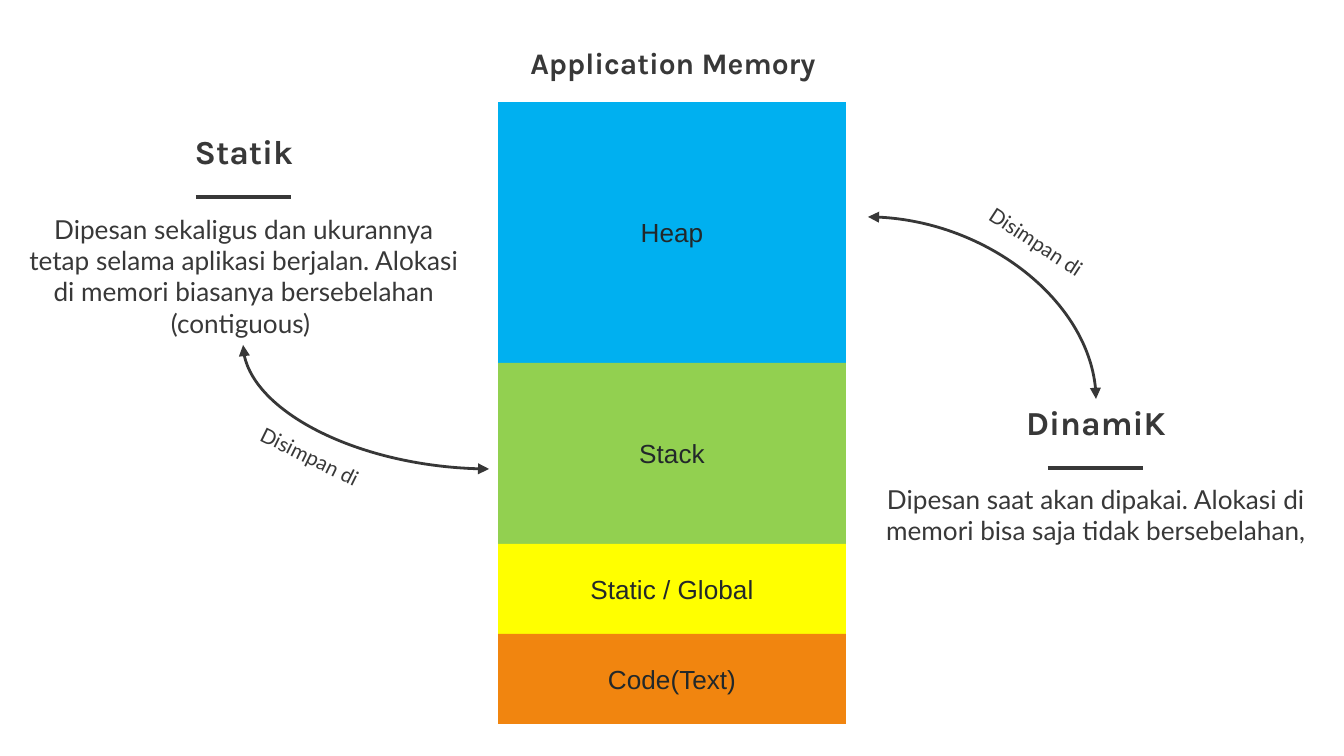
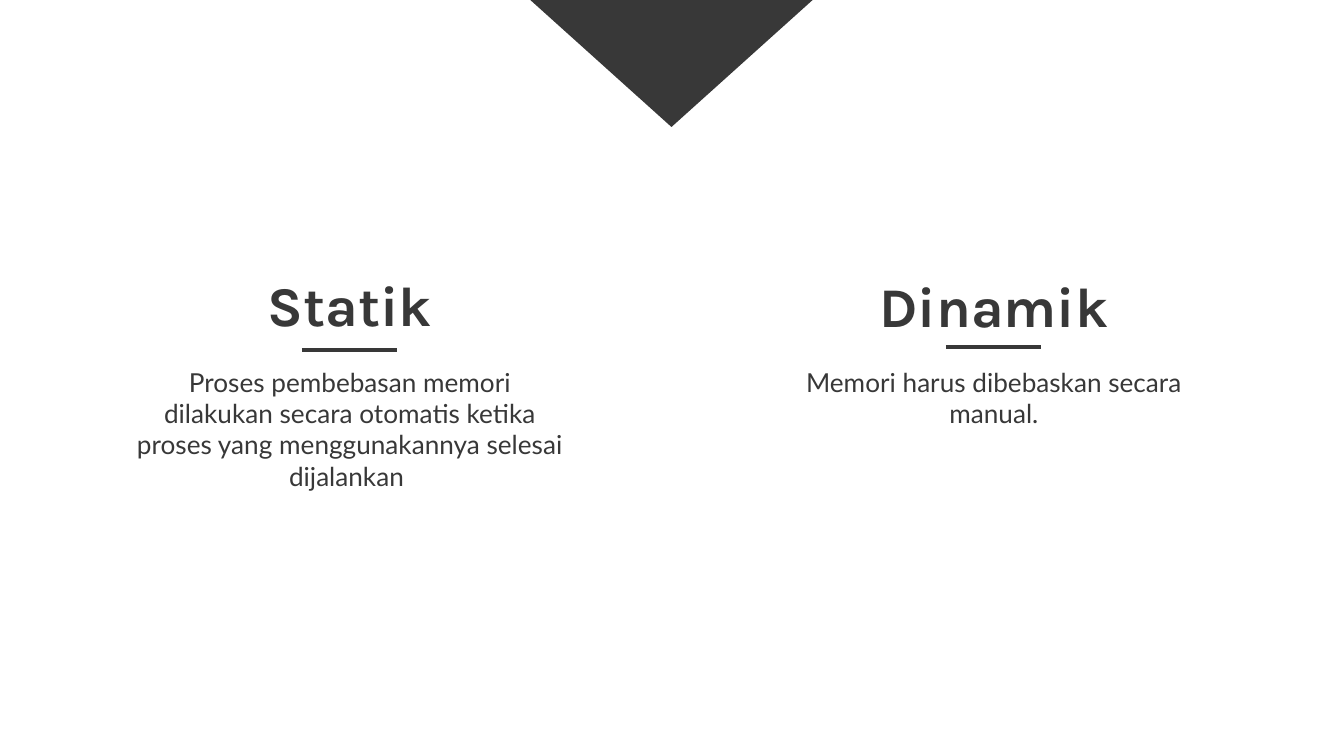
from pptx import Presentation
from pptx.dml.color import RGBColor
from pptx.enum.shapes import MSO_CONNECTOR as Link, MSO_SHAPE as Form
from pptx.enum.text import MSO_ANCHOR as Anchor, PP_ALIGN as Align
from pptx.oxml.ns import qn
from pptx.util import Emu, Pt
from lxml.etree import SubElement as sub

INK = "383838"
hue = RGBColor.from_string
HEAD = {"name": "Karla", "bold": True}
BODY = {"name": "Lato", "size": Pt(14)}
NOTE = {"name": "Lato", "size": Pt(11)}
CELL = {"name": "Arial", "size": Pt(14)}


def px(*nums):
    return [Emu(round(n * 914400 / 134.4)) for n in nums]


def write(shape, words, form, ink=INK, anchor=Anchor.TOP):
    frame = shape.text_frame
    pad = px(13)[0]
    look = {"word_wrap": True, "vertical_anchor": anchor, "margin_left": pad,
            "margin_right": pad, "margin_top": pad, "margin_bottom": pad}
    for key, val in look.items():
        setattr(frame, key, val)
    para = frame.paragraphs[0]
    para.alignment = Align.CENTER
    run = para.add_run()
    run.text = words
    for key, val in form.items():
        setattr(run.font, key, val)
    run.font.color.rgb = hue(ink)


deck = Presentation()
deck.slide_width, deck.slide_height = px(1344, 756)
store, free = [deck.slides.add_slide(deck.slide_layouts[6]) for _ in range(2)]

peak = free.shapes.add_shape(Form.ISOSCELES_TRIANGLE, *px(527, -3, 289, 130))
peak.rotation = 180
peak.shadow.inherit = False
peak.fill.solid()
peak.fill.fore_color.rgb = hue(INK)
peak.line.fill.background()

top = 102
for name, tall, tint in [
    ("Heap", 261, "00B0F0"),
    ("Stack", 181, "92D050"),
    ("Static / Global", 90, "FFFF00"),
    ("Code(Text)", 90, "F1850F"),
]:
    cell = store.shapes.add_shape(Form.RECTANGLE, *px(498, top, 348, tall))
    cell.shadow.inherit = False
    cell.fill.solid()
    cell.fill.fore_color.rgb = hue(tint)
    cell.line.fill.background()
    write(cell, name, CELL, "22282A", Anchor.MIDDLE)
    top += tall

label = store.shapes.add_textbox(*px(249, 32, 848, 78))
write(label, "Application Memory", {**HEAD, "size": Pt(16)})

lines = []
for slide, mid, name, size, wide, head, rule, body, words in [
    (store, 244, "Statik", 18, 243, 128, 197, 200,
     "Dipesan sekaligus dan ukurannya tetap selama aplikasi berjalan. "
     "Alokasi di memori biasanya bersebelahan (contiguous) "),
    (store, 1096, "DinamiK", 18, 243, 399, 468, 470,
     "Dipesan saat akan dipakai. Alokasi di memori bisa saja tidak bersebelahan,"),
    (free, 350, "Statik", 30, 243, 281, 350, 353,
     "Proses pembebasan memori dilakukan secara otomatis ketika "
     "proses yang menggunakannya selesai dijalankan "),
    (free, 994, "Dinamik", 30, 262, 282, 347, 353,
     "Memori harus dibebaskan secara manual."),
]:
    text = slide.shapes.add_textbox(*px(mid - 228, body, 456, 145))
    write(text, words, BODY)
    title = slide.shapes.add_textbox(*px(mid - wide / 2, head, wide, 46))
    write(title, name, {**HEAD, "size": Pt(size)}, anchor=Anchor.MIDDLE)
    bar = slide.shapes.add_connector(Link.STRAIGHT, *px(mid - 48, rule, mid + 47, rule))
    bar.line.width = Pt(2.25)
    bar.line.color.rgb = hue(INK)
    lines.append(bar)

for ends, spot, tilt in [
    ((428, 284, 304, 530), (204, 431), 26.2),
    ((891, 422, 1073, 194), (930, 216), 33.2),
]:
    arc = store.shapes.add_connector(Link.CURVE, *px(*ends))
    arc.line.width = Pt(1.5)
    arc.line.color.rgb = hue("373737")
    prop = arc._element.spPr
    prop.find(qn("a:xfrm")).set("rot", str(270 * 60000))
    prop.find(qn("a:prstGeom")).set("prst", "curvedConnector2")
    for tip in ("a:headEnd", "a:tailEnd"):
        sub(prop.find(qn("a:ln")), qn(tip), type="triangle")
    lines.append(arc)
    note = store.shapes.add_textbox(*px(*spot, 208, 58))
    note.rotation = tilt
    write(note, "Disimpan di", NOTE)

for line in lines:
    sub(line._element.spPr, qn("a:effectLst"))

deck.save("out.pptx")
